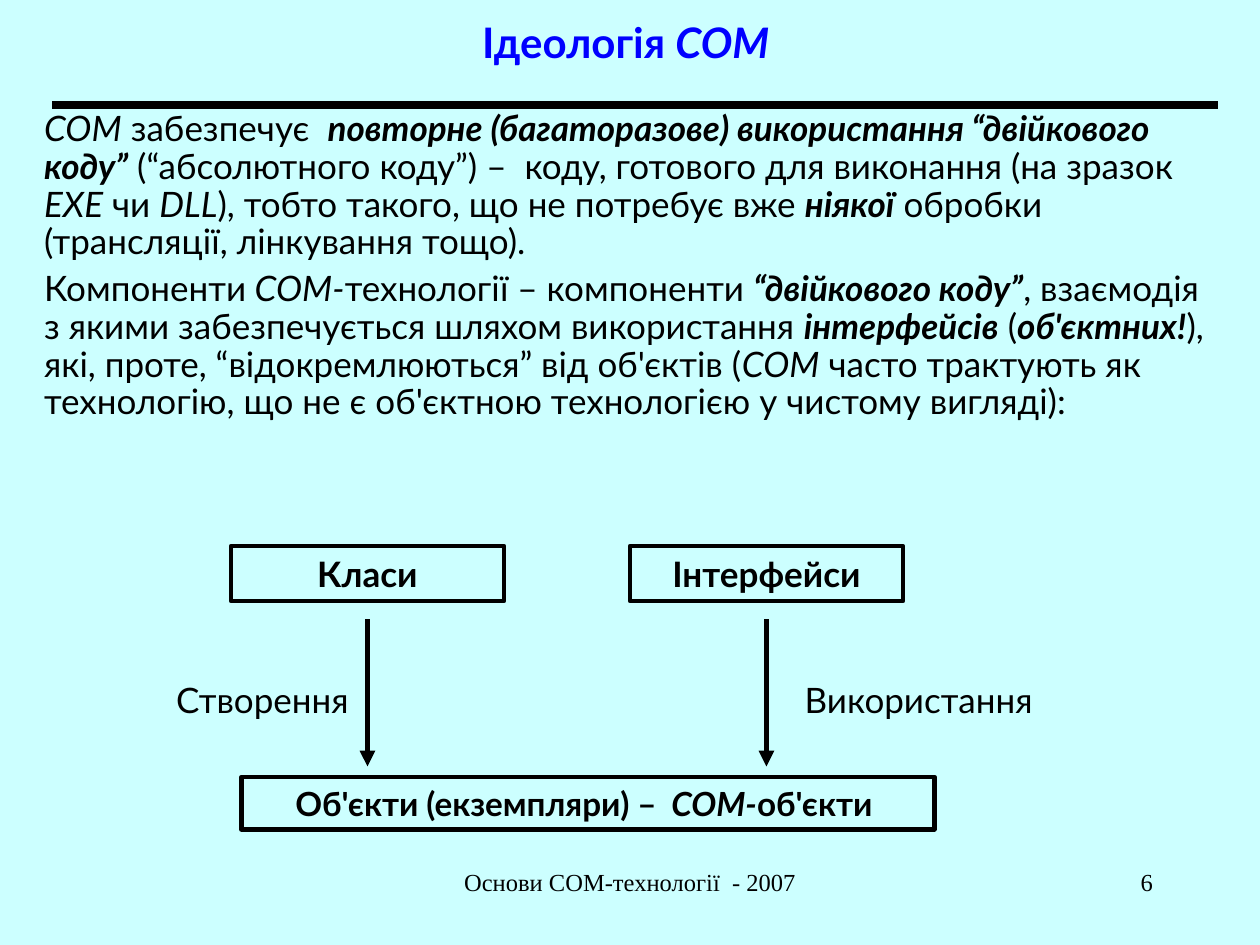
from pptx import Presentation
from pptx.dml.color import RGBColor
from pptx.enum.shapes import MSO_CONNECTOR as Link, MSO_SHAPE as Kind
from pptx.enum.text import MSO_ANCHOR as Anchor, MSO_AUTO_SIZE as Fit, PP_ALIGN as Align
from pptx.oxml.ns import qn
from pptx.util import Emu, Pt
from lxml.etree import SubElement

SCALE = 9525
BLACK = "000000"
BLUE = "0000FF"
SKY = "CCFFFF"
SANS = "Lato"
SERIF = "Times New Roman"

TITLE = [("Ідеологія ", "b"), ("COM", "bi"), (" ", "b")]
BODY = [
    [
        ("COM", "i"),
        (" забезпечує  ", ""),
        ("повторне (багаторазове) використання “двійкового коду”", "bi"),
        (" (“абсолютного коду”) –  коду, готового для виконання (на зразок ", ""),
        ("EXE", "i"),
        (" чи ", ""),
        ("DLL", "i"),
        ("), тобто такого, що не потребує вже ", ""),
        ("ніякої", "bi"),
        (" обробки (трансляції, лінкування тощо).", ""),
    ],
    [
        ("Компоненти", ""),
        (" COM-", "i"),
        ("технології – компоненти ", ""),
        ("“двійкового коду”", "bi"),
        (", взаємодія з якими забезпечується шляхом використання ", ""),
        ("інтерфейсів", "bi"),
        (" (", ""),
        ("об'єктних!", "bi"),
        ("), які, проте, “відокремлюються” від об'єктів (", ""),
        ("COM", "i"),
        (" часто трактують як технологію, що не є об'єктною технологією у чистому вигляді):", ""),
    ],
]
BOXES = [
    ((176, 416, 208, 42), 20, [("Класи", "b")]),
    ((480, 416, 208, 42), 20, [("Інтерфейси", "b")]),
    ((184, 592, 528, 40), 19,
     [("Об'єкти (екземпляри) –", "b"), ("  COM-", "bi"), ("об'єкти ", "b")]),
]
LABELS = [
    ((96, 512, 208, 42), "Створення"),
    ((592, 512, 216, 42), "Використання"),
]
ARROWS = [280, 584]
FOOTER = [
    ((328, 656, 304, 48), "Основи COM-технології  - 2007", Align.CENTER),
    ((688, 656, 200, 48), "6", Align.RIGHT),
]


def px(*nums):
    return [Emu(num * SCALE) for num in nums]


def hue(code):
    return RGBColor.from_string(code)


def place(shape, area):
    shape.left, shape.top, shape.width, shape.height = px(*area)


def write(para, runs, size, face=SANS, tint=BLACK, align=Align.LEFT):
    para.alignment = align
    for text, style in runs:
        run = para.add_run()
        run.text = text
        font = run.font
        font.name, font.size = face, Pt(size)
        font.bold, font.italic = "b" in style, "i" in style
        font.color.rgb = hue(tint)


def set_frame(shape, anchor=Anchor.TOP, fit=Fit.NONE):
    frame = shape.text_frame
    frame.word_wrap = True
    frame.auto_size = fit
    frame.vertical_anchor = anchor
    return frame


def fill_title(shape):
    place(shape, (72, 0, 816, 64))
    para = set_frame(shape, Anchor.MIDDLE).paragraphs[0]
    write(para, TITLE, 24, tint=BLUE, align=Align.CENTER)
    para.runs[-1].font.size = Pt(20)


def fill_body(shape):
    place(shape, (24, 80, 912, 576))
    frame = set_frame(shape)
    for num, runs in enumerate(BODY):
        para = frame.add_paragraph() if num else frame.paragraphs[0]
        props = para._p.get_or_add_pPr()
        props.set("marL", "0")
        props.set("indent", "0")
        SubElement(props, qn("a:buNone"))
        para.line_spacing = 0.9
        para.space_before = Pt(5 if num else 0)
        write(para, runs, 20)


def add_box(pool, area, size, runs):
    box = pool.add_shape(Kind.RECTANGLE, *px(*area))
    box.shadow.inherit = False
    box.fill.background()
    box.line.color.rgb = hue(BLACK)
    box.line.width = Pt(2.5)
    frame = set_frame(box, fit=Fit.SHAPE_TO_FIT_TEXT)
    write(frame.paragraphs[0], runs, size, align=Align.CENTER)


def add_label(pool, area, text, size=20, face=SANS, align=Align.CENTER, fit=Fit.NONE):
    label = pool.add_textbox(*px(*area))
    write(set_frame(label, fit=fit).paragraphs[0], [(text, "")], size, face, align=align)


def add_line(pool, ends, width, arrow=False):
    line = pool.add_connector(Link.STRAIGHT, *px(*ends))
    line.line.color.rgb = hue(BLACK)
    line.line.width = Pt(width)
    if arrow:
        SubElement(line.line._get_or_add_ln(), qn("a:tailEnd"), type="triangle")
    SubElement(line._element.spPr, qn("a:effectLst"))


def main():
    deck = Presentation()
    deck.slide_width, deck.slide_height = px(960, 720)
    slide = deck.slides.add_slide(deck.slide_layouts[1])
    back = slide.background.fill
    back.solid()
    back.fore_color.rgb = hue(SKY)

    fill_title(slide.shapes.title)
    fill_body(slide.placeholders[1])
    add_line(slide.shapes, (40, 80, 928, 80), 4.5)

    chart = slide.shapes.add_group_shape().shapes
    for area, text in LABELS:
        add_label(chart, area, text, fit=Fit.SHAPE_TO_FIT_TEXT)
    for area, size, runs in BOXES:
        add_box(chart, area, size, runs)
    for left in ARROWS:
        add_line(chart, (left, 472, left, 584), 3, arrow=True)

    for area, text, align in FOOTER:
        add_label(slide.shapes, area, text, 14, SERIF, align)
    deck.save("out.pptx")


if __name__ == "__main__":
    main()
